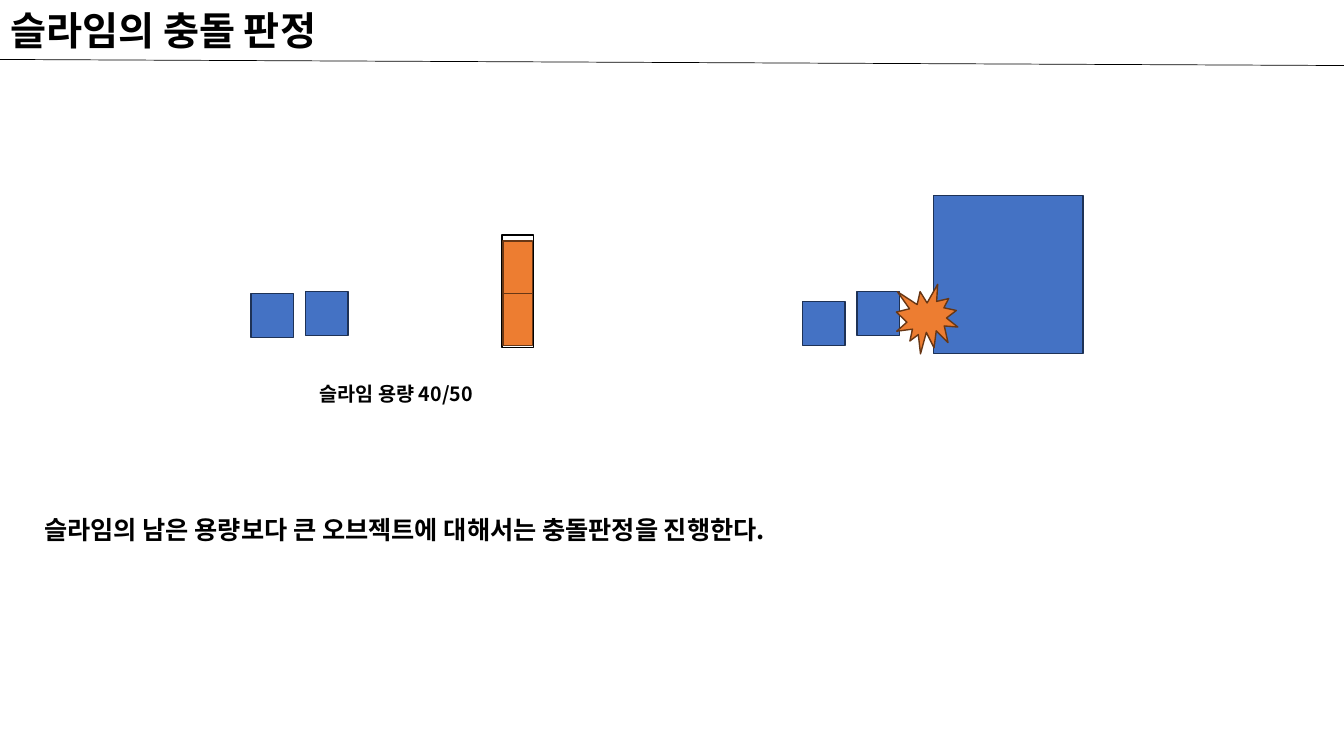
from lxml import etree
from pptx import Presentation
from pptx.dml.color import RGBColor
from pptx.enum.shapes import MSO_CONNECTOR, MSO_SHAPE
from pptx.enum.text import MSO_ANCHOR, MSO_AUTO_SIZE, PP_ALIGN
from pptx.oxml.ns import qn
from pptx.util import Inches, Pt

RECT, BURST = MSO_SHAPE.RECTANGLE, MSO_SHAPE.EXPLOSION1
LEFT, CENTER = PP_ALIGN.LEFT, PP_ALIGN.CENTER
FONT = "Noto Sans CJK KR"
WIDTH, HEIGHT = 13.33, 7.5
BLUE = ("4472C4", "1E3256")
ORANGE = ("ED7D31", "683715")
FRAME = (None, "000000")
SLIME = (0.42, 0.44)


def color(value):
    return RGBColor.from_string(value)


def place(sp, x, y, w, h):
    sp.left, sp.top, sp.width, sp.height = map(Inches, (x, y, w, h))


def write(sp, text, size, align=LEFT, wrap=False):
    tf = sp.text_frame
    frame = {"word_wrap": wrap, "auto_size": MSO_AUTO_SIZE.SHAPE_TO_FIT_TEXT,
             "vertical_anchor": MSO_ANCHOR.TOP}
    for name, value in frame.items():
        setattr(tf, name, value)
    p = tf.paragraphs[0]
    p.alignment = align
    r = p.add_run()
    r.text = text
    for name, value in {"name": FONT, "size": Pt(size), "bold": True}.items():
        setattr(r.font, name, value)
    r.font.color.rgb = color("000000")
    etree.SubElement(r.font._element, qn("a:ea"), typeface=FONT)


def add_text(s, box, text, size, **layout):
    write(s.shapes.add_textbox(*map(Inches, box)), text, size, **layout)


def add_block(s, x, y, w, h, colors, kind=RECT):
    sp = s.shapes.add_shape(kind, *map(Inches, (x, y, w, h)))
    sp.shadow.inherit = False
    fill, line = colors
    if fill:
        sp.fill.solid()
        sp.fill.fore_color.rgb = color(fill)
    else:
        sp.fill.background()
    sp.line.color.rgb = color(line)
    sp.line.width = Pt(1)


def add_header(s, x, y, w):
    title = s.shapes.title
    place(title, x, y + 0.01, 3.62, 0.57)
    write(title, "슬라임의 충돌 판정", 28)
    rule = s.shapes.add_connector(
        MSO_CONNECTOR.STRAIGHT, *map(Inches, (x, y + 0.59, x + w, y + 0.65)))
    rule.line.color.rgb = color("000000")
    rule.line.width = Pt(0.5)
    etree.SubElement(rule._element.spPr, qn("a:effectLst"))


def add_slimes(s, x, y, drop):
    """Two slimes in a row, the rear one lower by drop."""
    add_block(s, x + 0.54, y, *SLIME, BLUE)
    add_block(s, x, y + drop, *SLIME, BLUE)


def add_capacity(s, x, y):
    add_slimes(s, x, y + 0.56, 0.02)
    gauge = x + 2.49
    add_block(s, gauge, y, 0.31, 1.12, FRAME)
    for level in (1, 0):
        add_block(s, gauge + 0.01, y + 0.06 + level * 0.52, 0.29, 0.52, ORANGE)
    add_text(s, (x + 0.51, y + 1.41, 1.86, 0.34), "슬라임 용량 40/50", 14,
             align=CENTER)


def add_collision(s, x, y):
    add_slimes(s, x, y + 0.95, 0.1)
    add_block(s, x + 1.3, y, 1.48, 1.57, BLUE)
    add_block(s, x + 0.93, y + 0.88, 0.61, 0.69, ORANGE, BURST)


def main():
    prs = Presentation()
    prs.slide_width, prs.slide_height = Inches(WIDTH), Inches(HEIGHT)
    s = prs.slides.add_slide(prs.slide_layouts.get_by_name("Title Only"))
    add_header(s, 0, 0, WIDTH)
    add_capacity(s, 2.49, 2.33)
    add_collision(s, 7.96, 1.94)
    add_text(s, (0.34, 5.05, 12.66, 0.4),
             "슬라임의 남은 용량보다 큰 오브젝트에 대해서는 충돌판정을 진행한다.",
             18, wrap=True)
    prs.save("out.pptx")


if __name__ == "__main__":
    main()
